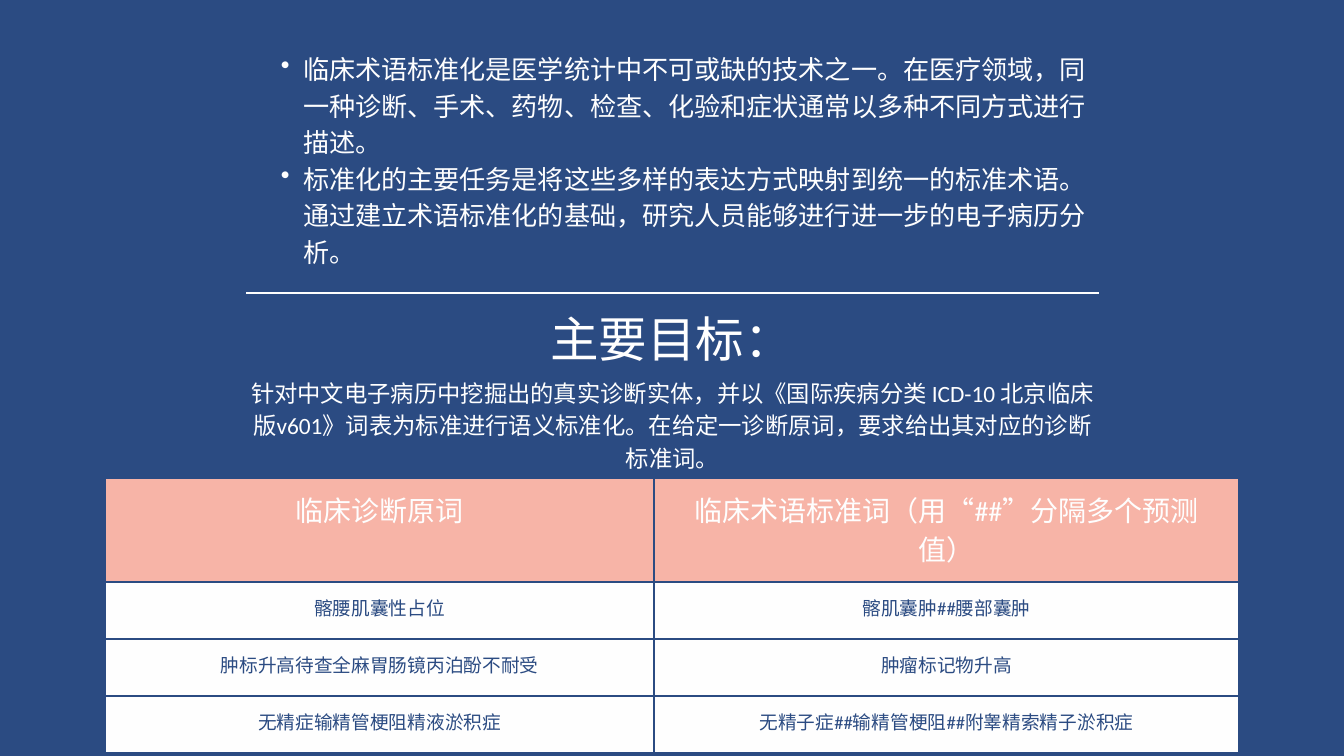
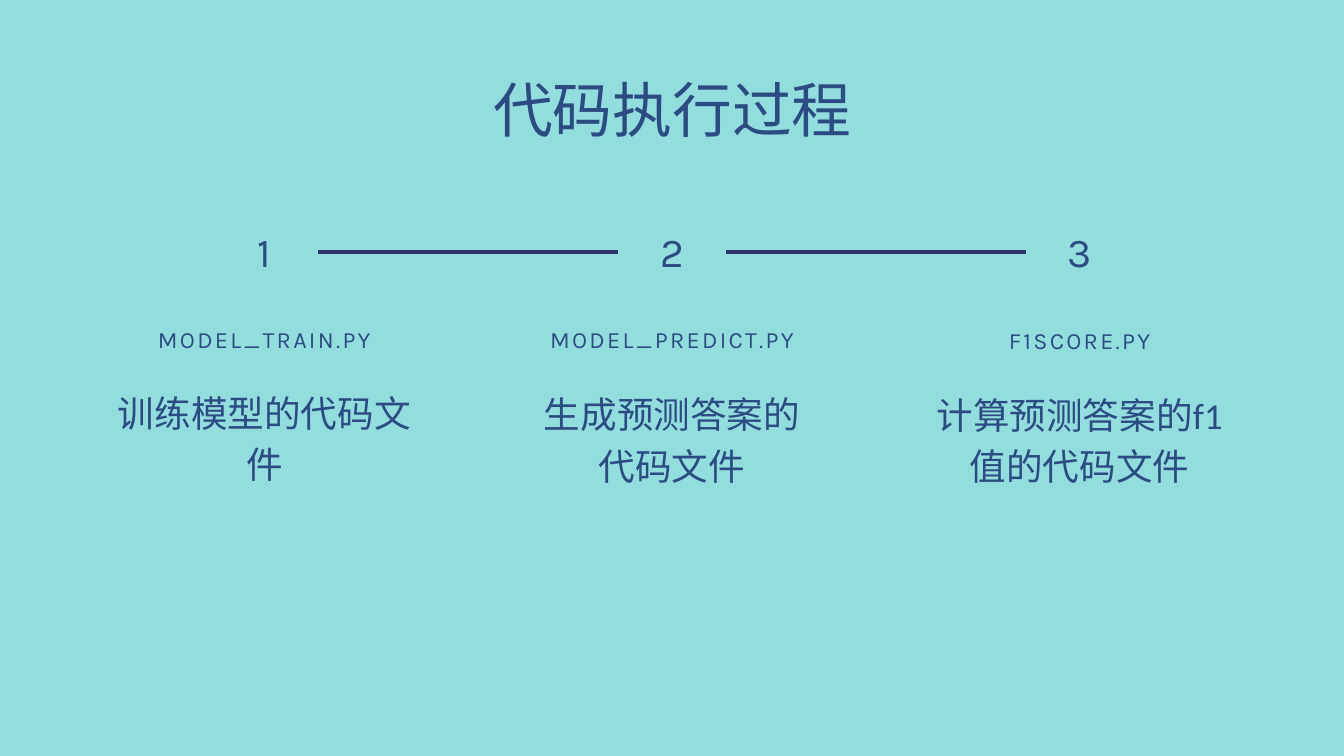
"""Builds two slides on clinical term standardisation: the task, and the steps of the code."""
from lxml.etree import SubElement
from pptx import Presentation
from pptx.dml.color import RGBColor
from pptx.enum.shapes import MSO_CONNECTOR as Connector, MSO_SHAPE as Shape
from pptx.enum.text import MSO_ANCHOR as Anchor, MSO_AUTO_SIZE as AutoSize, PP_ALIGN as Align
from pptx.oxml.ns import qn
from pptx.util import Inches, Pt

NAVY, INDIGO, AQUA = "2B4B82", "31356E", "94DDDE"
PINK, PAPER, WHITE = "F7B4A7", "FEFEFE", "FFFFFF"
FORMATS = {
    "bullet": {"size": 28, "line": 39.2, "colour": PAPER, "align": Align.LEFT},
    "goal": {"size": 52, "line": 72.8, "colour": WHITE},
    "task": {"size": 25, "line": 35, "colour": WHITE},
    "header": {"size": 30, "line": 42, "colour": PAPER},
    "term": {"size": 20, "line": 28, "colour": NAVY},
    "title": {"size": 64, "line": 67.2, "colour": NAVY},
    "number": {"size": 44, "line": 61.6, "colour": NAVY, "name": "Karla", "tracking": 7.5},
    "file": {"size": 25, "line": 35, "colour": NAVY, "name": "Karla", "tracking": 2.5},
    "purpose": {"size": 39.2, "line": 54.9, "colour": NAVY},
}
colour = RGBColor.from_string

presentation = Presentation()
presentation.slide_width, presentation.slide_height = Inches(20), Inches(11.25)
column, row = presentation.slide_width / 100, presentation.slide_height / 100


def share(left, top, width, height):
    """Turn percentages of the slide's size into lengths."""
    return [round(left * column), round(top * row), round(width * column), round(height * row)]


def write(frame, texts, kind):
    """Fill a text frame with one paragraph per text, in the named format."""
    style = FORMATS[kind]
    frame.word_wrap = True
    for index, text in enumerate(texts):
        paragraph = frame.paragraphs[0] if index == 0 else frame.add_paragraph()
        paragraph.alignment = style.get("align", Align.CENTER)
        paragraph.line_spacing = Pt(style["line"])
        if kind == "bullet":
            paragraph.level = 1
            properties = paragraph._p.get_or_add_pPr()
            properties.set("marL", str(Inches(0.66)))
            properties.set("indent", str(Inches(-0.33)))
            SubElement(properties, qn("a:buChar"), char="•")
        run = paragraph.add_run()
        run.text = text
        for name, value in {"size": Pt(style["size"]), "name": style.get("name", "Calibri")}.items():
            setattr(run.font, name, value)
        run.font.color.rgb = colour(style["colour"])
        if "tracking" in style:
            run._r.get_or_add_rPr().set("spc", str(round(style["tracking"] * 100)))


slides = []
for background in (NAVY, AQUA):
    slide = presentation.slides.add_slide(presentation.slide_layouts[6])
    slide.background.fill.solid()
    slide.background.fill.fore_color.rgb = colour(background)
    slides.append(slide)
task_slide, code_slide = slides

points = [
    "临床术语标准化是医学统计中不可或缺的技术之一。在医疗领域，同一种诊断、手术、药物、检查、化验和症状通常以多种不同方式进行描述。",
    "标准化的主要任务是将这些多样的表达方式映射到统一的标准术语。通过建立术语标准化的基础，研究人员能够进行进一步的电子病历分析。",
]
terms = [
    ("临床诊断原词", "临床术语标准词（用“##”分隔多个预测值）"),
    ("髂腰肌囊性占位", "髂肌囊肿##腰部囊肿"),
    ("肿标升高待查全麻胃肠镜丙泊酚不耐受", "肿瘤标记物升高"),
    ("无精症输精管梗阻精液淤积症", "无精子症##输精管梗阻##附睾精索精子淤积症"),
]
edge, rule, grid_line = (NAVY, 3.75), (PAPER, 1.5), (NAVY, 2.25)
tables = [
    {"area": (18.2, 0, 63.65, 38.76), "widths": [63.65], "heights": [38.76],
     "cells": [[points]], "kinds": ["bullet"], "fills": [None],
     "borders": {"L": edge, "R": edge, "T": edge, "B": rule}, "margin": 0.21, "top": 0.75},
    {"area": (7.85, 63.2, 84.35, 32.28), "widths": [40.8, 43.55], "heights": [9.6] + [7.56] * 3,
     "cells": [[[text] for text in pair] for pair in terms],
     "kinds": ["header"] + ["term"] * 3, "fills": [PINK] + [PAPER] * 3,
     "borders": dict.fromkeys("LRTB", grid_line), "margin": 0.19, "top": 0.19},
]
for plan in tables:
    table = task_slide.shapes.add_table(
        len(plan["heights"]), len(plan["widths"]), *share(*plan["area"])).table
    table.first_row = table.horz_banding = False
    for index, width in enumerate(plan["widths"]):
        table.columns[index].width = round(width * column)
    for index, height in enumerate(plan["heights"]):
        table.rows[index].height = round(height * row)
        for position, texts in enumerate(plan["cells"][index]):
            cell = table.cell(index, position)
            for side in ("left", "right", "bottom"):
                setattr(cell, f"margin_{side}", Inches(plan["margin"]))
            cell.margin_top = Inches(plan["top"])
            write(cell.text_frame, texts, plan["kinds"][index])
            properties = cell._tc.get_or_add_tcPr()
            for side, (shade, weight) in plan["borders"].items():
                border = SubElement(properties, qn(f"a:ln{side}"), w=str(Pt(weight)))
                SubElement(SubElement(border, qn("a:solidFill")), qn("a:srgbClr"), val=shade)
            if plan["fills"][index]:
                cell.fill.solid()
                cell.fill.fore_color.rgb = colour(plan["fills"][index])
            else:
                cell.fill.background()

boxes = [
    (task_slide, "task", (18.2, 49.5, 63.65, 16.9),
     "针对中文电子病历中挖掘出的真实诊断实体，并以《国际疾病分类 ICD-10 北京临床版v601》词表为标准进行语义标准化。在给定一诊断原词，要求给出其对应的诊断标准词。"),
    (task_slide, "goal", (40.95, 39.64, 18.05, 8.62), "主要目标："),
    (code_slide, "title", (5.9, 10.84, 88.25, 8.62), "代码执行过程"),
]

steps = [
    ("MODEL_TRAIN.PY", "训练模型的代码文件", 22, 42.4, 50.76),
    ("MODEL_PREDICT.PY", "生成预测答案的代码文件", 21.45, 42.4, 50.93),
    ("F1SCORE.PY", "计算预测答案的f1值的代码文件", 22, 42.49, 51.02),
]
step_pitch, number_width = 30.33, 8.03
plates = []
for index, (file_name, purpose, width, file_top, purpose_top) in enumerate(steps):
    center = 50 + (index - 1) * step_pitch
    number_left, left = center - number_width / 2, center - width / 2
    if index > 0:
        plate = code_slide.shapes.add_shape(
            Shape.RECTANGLE, *share(number_left, 26.31, number_width, 14.04))
        plate.shadow.inherit = False
        plate.fill.solid()
        plate.fill.fore_color.rgb = colour(AQUA)
        plate.line.fill.background()
        plates.append(plate)
    boxes += [
        (code_slide, "number", (number_left, 24.98, number_width, 15.38), str(index + 1)),
        (code_slide, "file", (left, file_top, width, 4.09), file_name),
        (code_slide, "purpose", (left, purpose_top, width, 12.98), purpose),
    ]

for index, plate in enumerate(plates):
    start = plate.left - round((step_pitch - number_width) * column)
    middle = plate.top + plate.height // 2
    link = code_slide.shapes.add_connector(Connector.STRAIGHT, start, middle, plate.left, middle)
    if index > 0:
        link.begin_connect(plates[index - 1], 3)
    link.end_connect(plate, 1)
    link.line.color.rgb = colour(INDIGO)
    link.line.width = Pt(3.75)
    SubElement(link._element.spPr, qn("a:effectLst"))

for slide, kind, area, text in boxes:
    frame = slide.shapes.add_textbox(*share(*area)).text_frame
    for side in ("left", "right", "top", "bottom"):
        setattr(frame, f"margin_{side}", 0)
    if kind == "number":
        frame.vertical_anchor = Anchor.MIDDLE
    else:
        frame.auto_size = AutoSize.SHAPE_TO_FIT_TEXT
    write(frame, [text], kind)

presentation.save("out.pptx")
